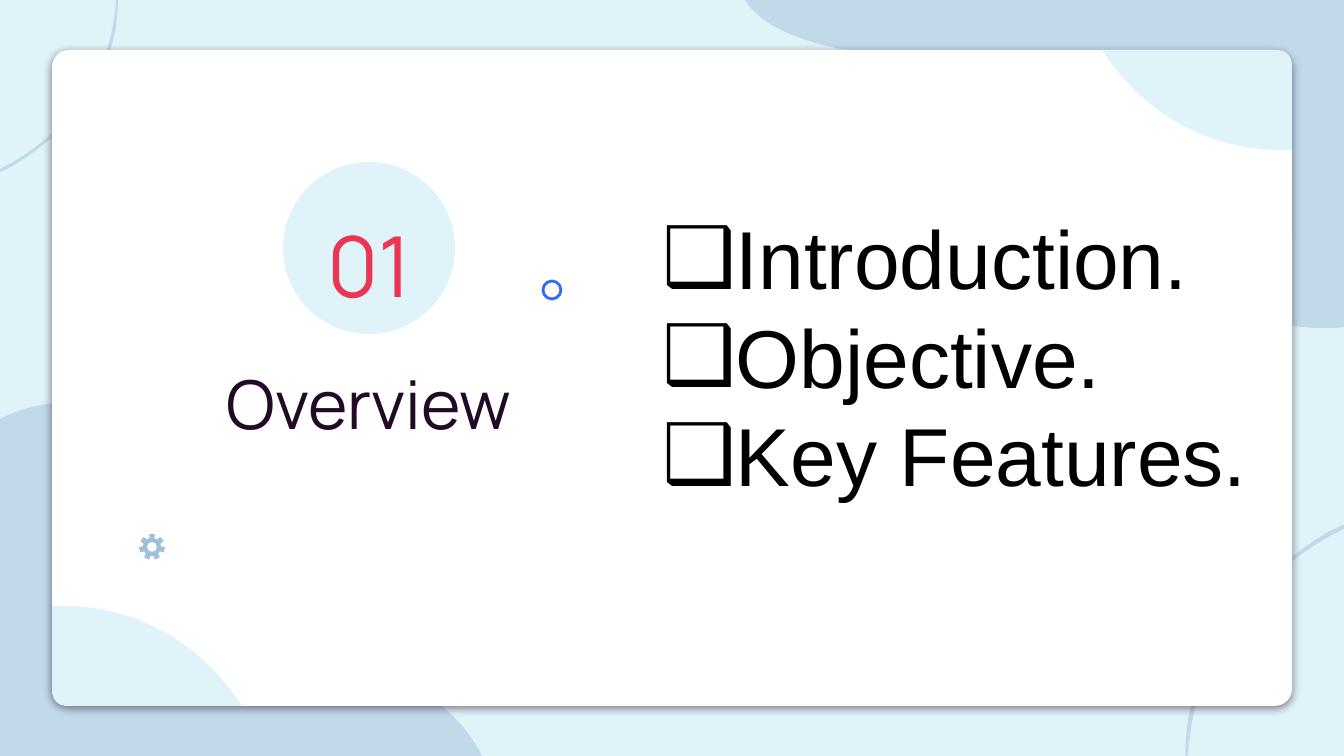
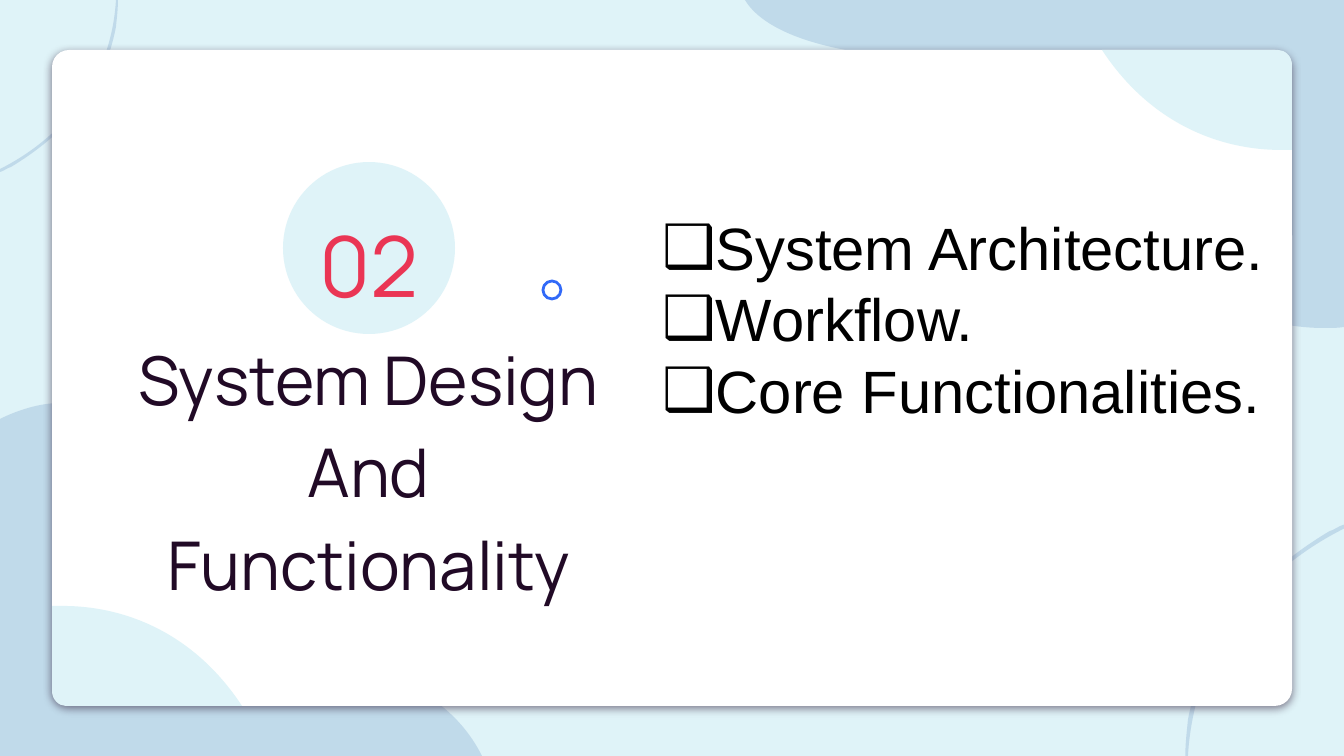
import math

from lxml import etree
from pptx import Presentation
from pptx.dml.color import RGBColor
from pptx.enum.shapes import MSO_SHAPE
from pptx.enum.text import MSO_ANCHOR, MSO_AUTO_SIZE, PP_ALIGN
from pptx.oxml.ns import qn
from pptx.util import Emu, Pt

ELLIPSE, ROUNDED = MSO_SHAPE.OVAL, MSO_SHAPE.ROUNDED_RECTANGLE
MIDDLE, BOTTOM = MSO_ANCHOR.MIDDLE, MSO_ANCHOR.BOTTOM
CENTER = PP_ALIGN.CENTER
GROW = MSO_AUTO_SIZE.SHAPE_TO_FIT_TEXT

EMU_PER_PX = 914400 / 134.4
WIDTH, HEIGHT = 1344, 756
TITLE_FONT, LIST_FONT = "Manrope", "Arial"
COLORS = {
    "pale": "DFF3F8",
    "blue": "A0BFDB",
    "card": "FFFFFF",
    "title": "210A26",
    "number": "EA3554",
    "ring": "3169F8",
    "list": "000000",
}

# Outlines in px: a pair is a corner, six numbers are a Bezier curve.
ARC_BAND = [
    (116, 0), (114, 36, 102, 73, 81, 101), (60, 130, 32, 153, 0, 169),
    (0, 172), (4, 171, 7, 168, 11, 167), (36, 152, 60, 133, 79, 109),
    (98, 86, 110, 58, 116, 27), (117, 17, 118, 9, 118, 0),
]
LOWER_BLOB = [
    (60, 403), (30, 403, 0, 419, 0, 419), (0, 756), (482, 756),
    (421, 634, 230, 657, 151, 633), (71, 609, 159, 493, 116, 430),
    (101, 410, 81, 403, 60, 403),
]
UPPER_BLOB = [
    (745, 0), (766, 35, 839, 59, 957, 59), (961, 59, 965, 59, 970, 59),
    (971, 59, 973, 59, 974, 59), (1152, 59, 1077, 214, 1208, 296),
    (1243, 319, 1290, 328, 1324, 328), (1332, 328, 1338, 328, 1344, 327),
    (1344, 0),
]
CARD_CORNER = [
    (1102, 50), (1152, 126, 1223, 150, 1281, 150),
    (1285, 150, 1288, 150, 1292, 150), (1292, 65),
    (1292, 56, 1285, 50, 1278, 50),
]


def px(value):
    return Emu(round(value * EMU_PER_PX))


def color(name):
    return RGBColor.from_string(COLORS[name])


def half_turn(outline, scale=1.0):
    """Rotate an outline about the slide centre, scaled from the corner."""
    far_edges = (WIDTH, HEIGHT)
    return [tuple(far_edges[index % 2] - scale * value
                  for index, value in enumerate(segment))
            for segment in outline]


def circle_point(center, radius, degrees):
    angle = math.radians(degrees)
    return (center[0] + radius * math.cos(angle),
            center[1] + radius * math.sin(angle))


def circle_outline(center, radius):
    """Return a circle as four counter-clockwise Bezier quarters."""
    reach = math.hypot(1, 0.55) * radius
    lean = math.degrees(math.atan(0.55))
    outline = [circle_point(center, radius, 0)]
    for start in (0, -90, -180, -270):
        outline.append(circle_point(center, reach, start - lean)
                       + circle_point(center, reach, start - 90 + lean)
                       + circle_point(center, radius, start - 90))
    return outline


def style_fill(shape, fill, alpha=None):
    shape.shadow.inherit = False
    shape.line.fill.background()
    shape.fill.solid()
    shape.fill.fore_color.rgb = color(fill)
    if alpha is not None:
        srgb = shape._element.spPr.find(f".//{qn('a:srgbClr')}")
        etree.SubElement(srgb, qn("a:alpha"), val=str(alpha * 1000))


def curve_segments(shape, segments):
    """Merge each curve's three line segments into one Bezier segment."""
    lines = iter(list(shape._element.iter(qn("a:lnTo"))))
    for segment in segments:
        first = next(lines)
        if len(segment) == 6:
            first.tag_name = None
            curve = etree.Element(qn("a:cubicBezTo"))
            first.addprevious(curve)
            for line in (first, next(lines), next(lines)):
                curve.append(line[0])
                line.getparent().remove(line)


def add_outline(slide, contours, fill, alpha=None):
    builder = None
    for start, *segments in contours:
        start = tuple(map(px, start))
        if builder is None:
            builder = slide.shapes.build_freeform(*start, scale=1.0)
        else:
            builder.move_to(*start)
        points = [(px(segment[i]), px(segment[i + 1]))
                  for segment in segments for i in range(0, len(segment), 2)]
        builder.add_line_segments(points, close=True)
    shape = builder.convert_to_shape()
    curve_segments(shape, [segment for contour in contours
                           for segment in contour[1:]])
    style_fill(shape, fill, alpha)


def add_filled(slide, kind, box, fill):
    shape = slide.shapes.add_shape(kind, *map(px, box))
    style_fill(shape, fill)
    return shape


def add_card(slide):
    card = add_filled(slide, ROUNDED, (52, 50, 1240, 656), "card")
    card.adjustments[0] = 0.026
    effects = card._element.spPr.find(qn("a:effectLst"))
    shadow = etree.SubElement(
        effects, qn("a:outerShdw"), blurRad=str(Pt(4.5)), dist=str(Pt(1.5)),
        dir="5400000", algn="bl", rotWithShape="0")
    srgb = etree.SubElement(shadow, qn("a:srgbClr"), val=COLORS["title"])
    etree.SubElement(srgb, qn("a:alpha"), val="50000")


def add_ring(slide):
    ring = slide.shapes.add_shape(ELLIPSE, *map(px, (543, 281, 18, 18)))
    ring.shadow.inherit = False
    ring.fill.background()
    ring.line.color.rgb = color("ring")
    ring.line.width = Pt(1.5)


def add_gear(slide, center=(152, 547), teeth=7):
    rim = []
    for tooth in range(teeth):
        middle = -90 + tooth * 360 / teeth
        for radius, offset in ((9, -17), (13, -12), (13, 12), (9, 17)):
            rim.append(circle_point(center, radius, middle + offset))
    add_outline(slide, [circle_outline(center, 5), rim], "blue")


def add_title(slide, box, text, size, fill, anchor):
    frame = slide.shapes.add_textbox(*map(px, box)).text_frame
    frame.word_wrap = True
    frame.vertical_anchor = anchor
    frame.margin_left = frame.margin_right = px(13)
    frame.margin_top = frame.margin_bottom = px(13)
    paragraph = frame.paragraphs[0]
    paragraph.alignment = CENTER
    paragraph.line_spacing = 1.15
    add_run(paragraph, text, size, TITLE_FONT, fill)


def add_run(paragraph, text, size, font_name, fill):
    run = paragraph.add_run()
    run.text = text
    run.font.size = Pt(size)
    run.font.name = font_name
    run.font.color.rgb = color(fill)


def add_bullet(paragraph):
    properties = paragraph._p.get_or_add_pPr()
    properties.set("marL", str(px(42)))
    properties.set("indent", str(-px(42)))
    bullet_color = etree.SubElement(properties, qn("a:buClr"))
    etree.SubElement(bullet_color, qn("a:srgbClr"), val=COLORS["list"])
    etree.SubElement(properties, qn("a:buFont"), typeface=LIST_FONT)
    etree.SubElement(properties, qn("a:buChar"), char="❑")


def add_checklist(slide, box, items, size):
    frame = slide.shapes.add_textbox(*map(px, box)).text_frame
    frame.word_wrap = True
    frame.auto_size = GROW
    for index, item in enumerate(items):
        paragraph = frame.add_paragraph() if index else frame.paragraphs[0]
        add_bullet(paragraph)
        add_run(paragraph, item, size, LIST_FONT, "list")


def move_backdrop_to_layout(slide):
    """Draw the shared backdrop and hand it to the slide's layout."""
    layout = slide.slide_layout
    background = layout.background.fill
    background.solid()
    background.fore_color.rgb = color("pale")
    for outline in (ARC_BAND, half_turn(ARC_BAND, 1.345),
                    LOWER_BLOB, UPPER_BLOB):
        add_outline(slide, [outline], "blue", alpha=48)
    add_card(slide)
    for placeholder in list(layout.placeholders):
        layout.shapes._spTree.remove(placeholder._element)
    for shape in list(slide.shapes):
        layout.shapes._spTree.append(shape._element)


def add_section(slide, number, title, title_box):
    """Fill a slide with the numbered badge, title and card corners."""
    add_filled(slide, ELLIPSE, (283, 162, 172, 172), "pale")
    add_title(slide, title_box, title, 36, "title", BOTTOM)
    add_title(slide, (165, 176, 408, 161), number, 45, "number", MIDDLE)
    add_ring(slide)
    for outline in (half_turn(CARD_CORNER), CARD_CORNER):
        add_outline(slide, [outline], "pale")


def main():
    presentation = Presentation()
    presentation.slide_width = px(WIDTH)
    presentation.slide_height = px(HEIGHT)
    blank = presentation.slide_layouts[6]

    overview = presentation.slides.add_slide(blank)
    move_backdrop_to_layout(overview)
    add_section(overview, "01", "Overview", (165, 357, 408, 99))
    add_gear(overview)
    add_checklist(overview, (649, 201, 628, 312),
                  ["Introduction.", "Objective.", "Key Features."], 44)

    design = presentation.slides.add_slide(blank)
    add_section(design, "02", "System Design And Functionality",
                (93, 518, 551, 99))
    add_checklist(design, (649, 204, 684, 231),
                  ["System Architecture.", "Workflow.",
                   "Core Functionalities."], 32)

    presentation.save("out.pptx")


if __name__ == "__main__":
    main()
